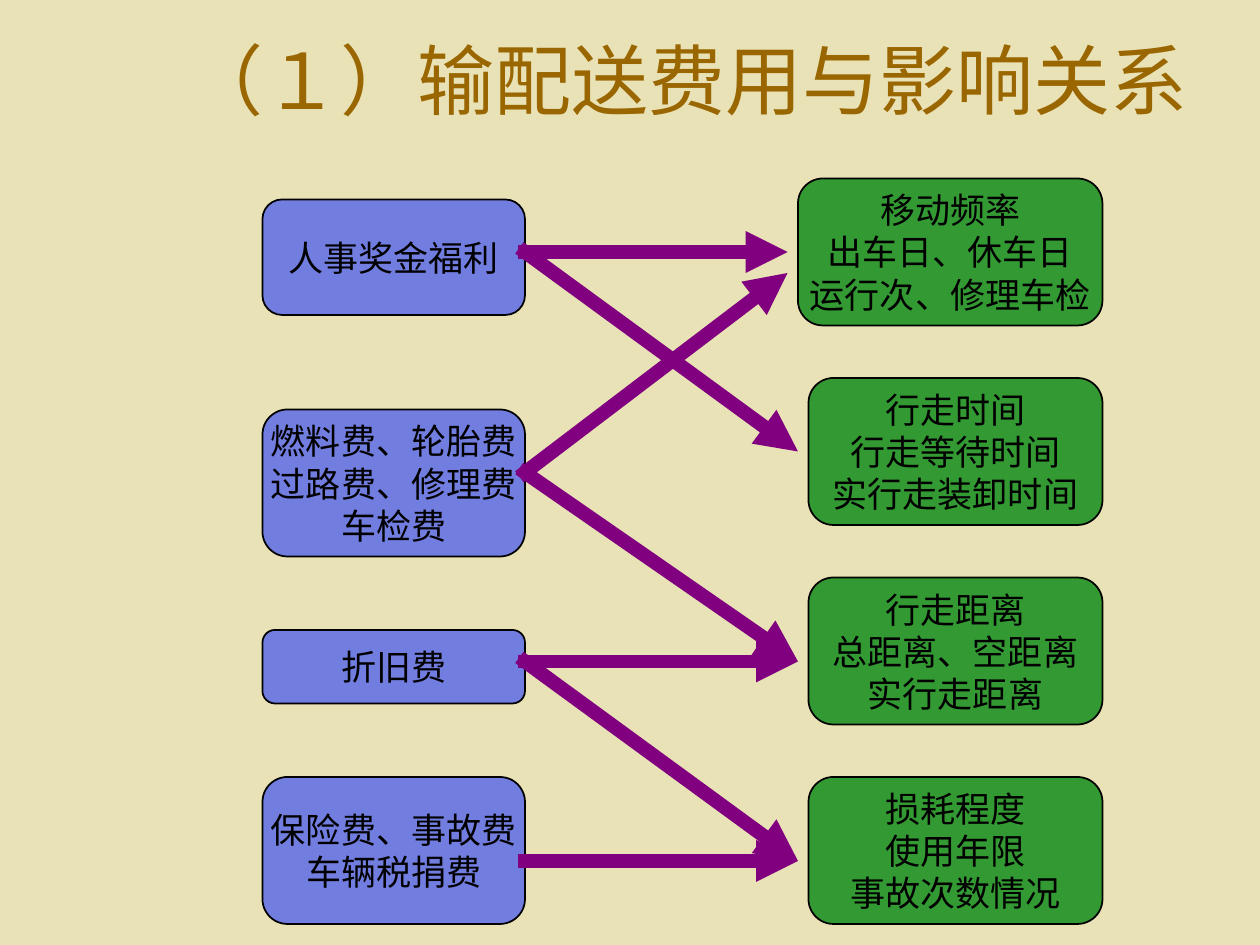
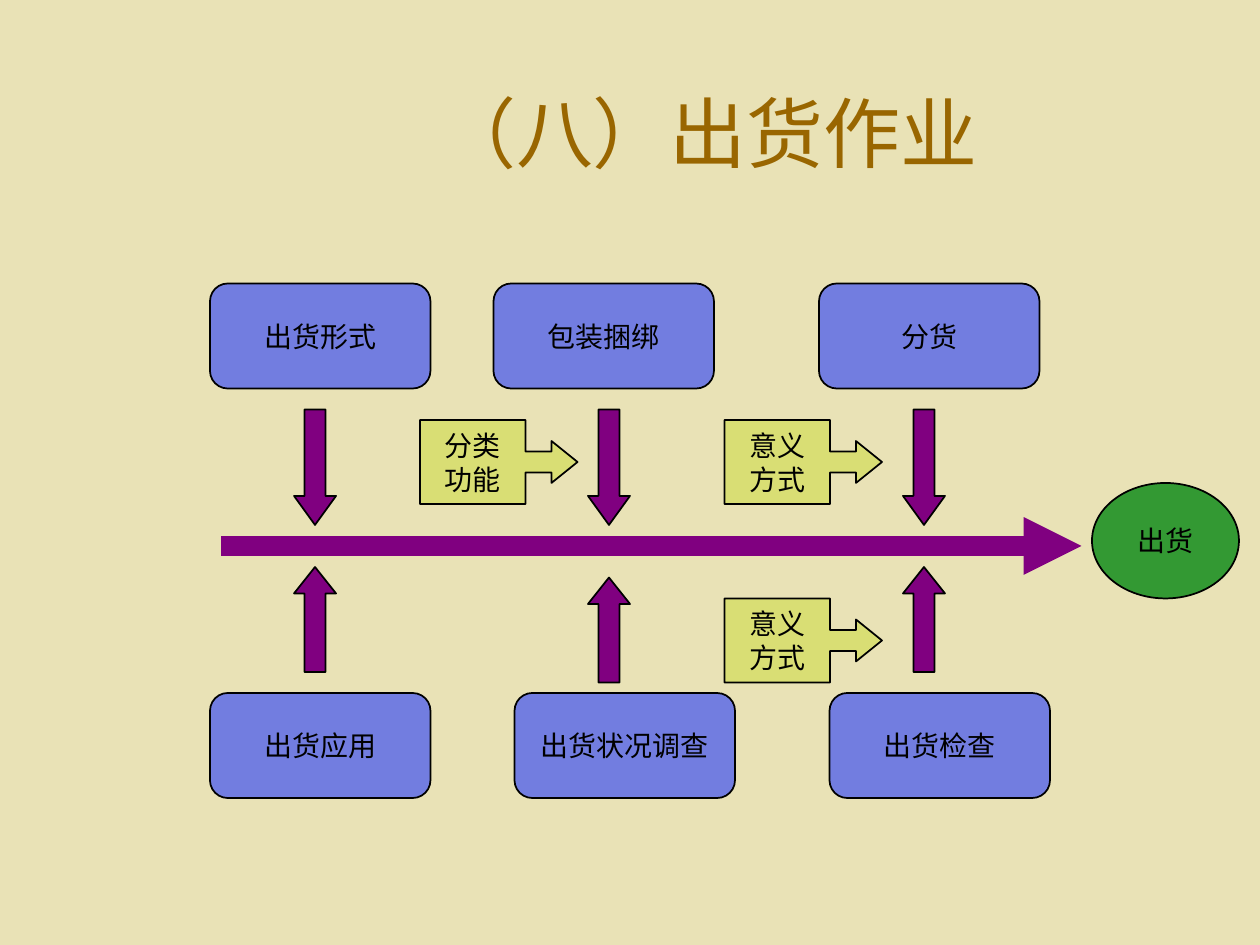
from lxml import etree
from pptx import Presentation
from pptx.dml.color import RGBColor
from pptx.enum.shapes import MSO_CONNECTOR as Link, MSO_SHAPE as Kind
from pptx.enum.text import MSO_ANCHOR as Anchor, PP_ALIGN as Align
from pptx.oxml.ns import qn
from pptx.util import Cm, Pt

# Places are counted in twelfths of an inch.
UNIT = 2.54 / 12
SAND, BROWN, BLUE, GREEN = "E9E2B6", "996600", "727DE0", "339933"
PURPLE, LIME, BLACK = "800080", "D9DE74", "000000"
HEAD_FONT, BODY_FONT = "Noto Sans CJK SC", "Times New Roman"

# Slide 1: (top, height, lines)
COST_TITLE = "（１）输配送费用与影响关系"
COSTS = [
    (19, 11, ["人事奖金福利"]),
    (39, 14, ["燃料费、轮胎费", "过路费、修理费", "车检费"]),
    (60, 7, ["折旧费"]),
    (74, 14, ["保险费、事故费", "车辆税捐费"]),
]
# (left, lines)
FACTORS = [
    (76, ["移动频率", "出车日、休车日", "运行次、修理车检"]),
    (77, ["行走时间", "行走等待时间", "实行走装卸时间"]),
    (77, ["行走距离", "总距离、空距离", "实行走距离"]),
    (77, ["损耗程度", "使用年限", "事故次数情况"]),
]
# Height of each start, then its end points
EFFECTS = [
    (24, [(75, 24), (76, 43)]),
    (45, [(75, 26), (76, 63)]),
    (63, [(76, 82), (76, 63)]),
    (82, [(76, 82)]),
]

# Slide 2: (left, text)
SHIP_TITLE = "（八）出货作业"
UPPER = [(20, "出货形式"), (47, "包装捆绑"), (78, "分货")]
LOWER = [(20, "出货应用"), (49, "出货状况调查"), (79, "出货检查")]
GOAL = "出货"
# (left, top of the arrow below the axis)
ARROWS = [(28, 54), (56, 55), (86, 54)]
# (left, top, lines)
NOTES = [
    (69, 57, ["意义", "方式"]),
    (40, 40, ["分类", "功能"]),
    (69, 40, ["意义", "方式"]),
]


def color(code):
    return RGBColor.from_string(code)


def grid(*counts):
    return [Cm(n * UNIT) for n in counts]


def write(frame, lines, size, font, ink):
    frame.vertical_anchor = Anchor.MIDDLE
    for i, line in enumerate(lines):
        para = frame.add_paragraph() if i else frame.paragraphs[0]
        para.text = line
        para.alignment = Align.CENTER
        para.font.size = Pt(size)
        para.font.name = font
        para.font.color.rgb = color(ink)


def start(deck, title, left, top):
    """Add a slide with its background and title."""
    slide = deck.slides.add_slide(deck.slide_layouts[6])
    fill = slide.background.fill
    fill.solid()
    fill.fore_color.rgb = color(SAND)
    frame = slide.shapes.add_textbox(*grid(left, top, 99, 15)).text_frame
    frame.word_wrap = True
    write(frame, [title], 44, HEAD_FONT, BROWN)
    return slide


def shape(slide, kind, place, fill, lines=(), size=16, adjust=()):
    item = slide.shapes.add_shape(kind, *grid(*place))
    item.shadow.inherit = False
    item.fill.solid()
    item.fill.fore_color.rgb = color(fill)
    item.line.color.rgb = color(BLACK)
    item.line.width = Pt(1)
    for i, value in enumerate(adjust):
        item.adjustments[i] = value
    if lines:
        item.text_frame.word_wrap = False
        write(item.text_frame, lines, size, BODY_FONT, BLACK)


def box(slide, place, fill, lines, size):
    shape(slide, Kind.ROUNDED_RECTANGLE, place, fill, lines, size, [0.17])


def arrow(slide, begin, end, width):
    item = slide.shapes.add_connector(Link.STRAIGHT, *grid(*begin, *end))
    item.line.color.rgb = color(PURPLE)
    item.line.width = Pt(width)
    props = item.element.spPr
    line = props.find(qn("a:ln"))
    line.set("cap", "sq")
    etree.SubElement(line, qn("a:tailEnd"), type="triangle")
    etree.SubElement(props, qn("a:effectLst"))


def costs(deck):
    slide = start(deck, COST_TITLE, 16, 0)
    for top, height, lines in COSTS:
        box(slide, (25, top, 25, height), BLUE, lines, 20)
    for i, (left, lines) in enumerate(FACTORS):
        box(slide, (left, 17 + 19 * i, 105 - left, 14), GREEN, lines, 20)
    for y, ends in EFFECTS:
        for end in ends:
            arrow(slide, (50, y), end, 8)


def shipping(deck):
    slide = start(deck, SHIP_TITLE, 18, 5)
    for top, row in ((27, UPPER), (66, LOWER)):
        for left, text in row:
            box(slide, (left, top, 21, 10), BLUE, [text], 16)
    shape(slide, Kind.OVAL, (104, 46, 14, 11), GREEN, [GOAL])
    arrow(slide, (22, 52), (103, 52), 11)
    for left, top in ARROWS:
        shape(slide, Kind.DOWN_ARROW, (left, 39, 4, 11), PURPLE,
              adjust=[0.5, 0.69])
        shape(slide, Kind.UP_ARROW, (left, top, 4, 10), PURPLE,
              adjust=[0.5, 0.63])
    for left, top, lines in NOTES:
        shape(slide, Kind.RIGHT_ARROW_CALLOUT, (left, top, 15, 8), LIME,
              lines, adjust=[0.25, 0.25, 0.31, 0.67])


def main():
    deck = Presentation()
    deck.slide_width, deck.slide_height = grid(120, 90)
    costs(deck)
    shipping(deck)
    deck.save("out.pptx")


if __name__ == "__main__":
    main()
